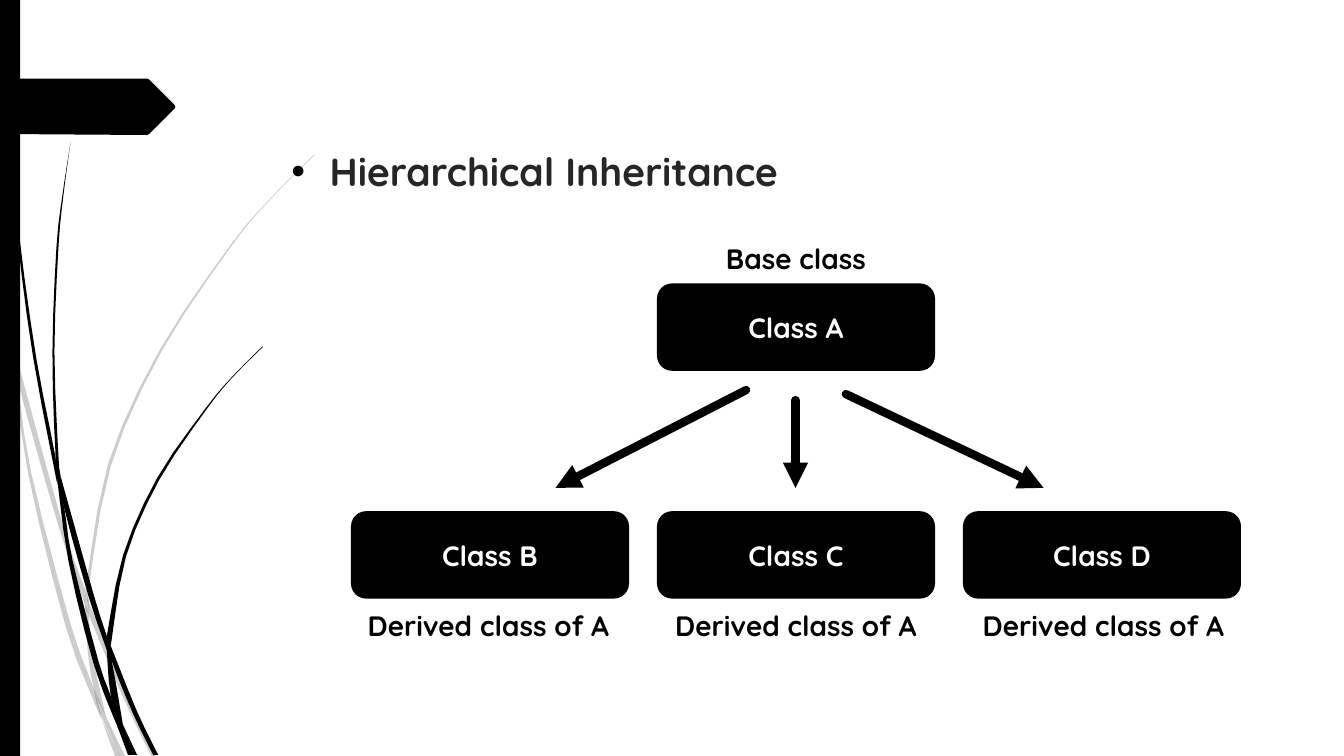
"""Build a slide that shows hierarchical inheritance as a class diagram."""
import dataclasses

import lxml.etree
import pptx
import pptx.dml.color
import pptx.enum.shapes
import pptx.enum.text
import pptx.oxml.ns
import pptx.util

Inches = pptx.util.Inches
Shapes = pptx.enum.shapes.MSO_SHAPE
Align = pptx.enum.text.PP_ALIGN
Anchor = pptx.enum.text.MSO_ANCHOR


@dataclasses.dataclass(frozen=True)
class Theme:
    font: str = "Quicksand"
    black: str = "000000"
    white: str = "FFFFFF"
    heading: str = "262626"
    pale_alpha: str = "20000"
    heading_size: int = 28
    label_size: int = 20
    outline: float = 1.25
    arrow: int = 6


THEME = Theme()
HEADING = "Hierarchical Inheritance"
BASE = ("Class A", "Base class")
DERIVED = [("Class B", "Derived class of A"),
           ("Class C", "Derived class of A"),
           ("Class D", "Derived class of A")]
ARROWS = [((7.4, 3.87), (5.51, 4.84)),
          ((7.89, 3.97), (7.89, 4.84)),
          ((8.39, 3.91), (10.35, 4.84))]
PALE_BLADES = [
    ([(0, 2.99), (0.1, 3.44), (0.11, 3.5)], [(0, 2.82), (0.09, 3.22), (0.11, 3.5)]),
    ([(0.14, 3.45), (0.17, 3.76), (0.58, 5.22), (0.84, 5.99)],
     [(0.14, 3.45), (0.62, 5.2), (0.85, 5.86)]),
    ([(0.88, 6.1), (1.23, 6.94), (1.5, 7.5)],
     [(0.88, 5.96), (0.92, 6.07), (1.27, 6.92), (1.55, 7.5)]),
    ([(1.05, 7.11), (1.19, 7.5)], [(1.05, 7.11), (1.24, 7.5)]),
    ([(0.11, 3.5), (0.28, 4.7), (0.65, 6.21), (0.92, 6.93), (1.01, 7.14)],
     [(0.11, 3.5), (0.17, 3.76), (0.31, 4.69), (0.7, 6.19), (0.93, 6.83), (1.01, 7.14)]),
    ([(0.84, 5.99), (0.87, 6.46), (0.93, 6.83), (1.05, 7.11)],
     [(0.84, 5.99), (0.88, 6.1), (0.91, 6.46), (1.05, 7.11)]),
    ([(3.12, 1.53), (2.68, 1.97), (2.28, 2.44), (1.58, 3.48), (1.07, 4.61), (0.85, 5.84)],
     [(3.12, 1.54), (2.68, 1.98), (2.29, 2.45), (1.6, 3.49), (1.1, 4.62), (0.88, 5.84),
      (0.88, 5.96)]),
    ([(1.01, 7.14), (1.14, 7.5)], [(1.01, 7.14), (1.19, 7.5)]),
    ([(0.85, 5.86), (0.84, 5.99), (0.88, 6.1)], [(0.85, 5.86), (0.88, 5.96), (0.88, 6.1)]),
    ([(0.93, 6.83), (0.99, 7.07), (1.19, 7.5)], [(0.93, 6.83), (1.05, 7.11), (1.19, 7.5)]),
]
DARK_BLADES = [
    ([(0.03, 0), (0.07, 1.1), (0.17, 2.33), (0.33, 3.55), (0.57, 4.81)],
     [(0.04, 0), (0.08, 1.09), (0.19, 2.32), (0.36, 3.55), (0.55, 4.53), (0.57, 4.81)]),
    ([(0.6, 4.72), (0.64, 5.05), (0.88, 5.92), (1.06, 6.45)],
     [(0.6, 4.72), (0.93, 5.9), (1.06, 6.31)]),
    ([(1.1, 6.41), (1.11, 6.56), (1.32, 7.08), (1.52, 7.49)],
     [(1.1, 6.41), (1.36, 7.06), (1.57, 7.49)]),
    ([(0.57, 4.77), (0.68, 5.57), (0.93, 6.59), (1.17, 7.22)],
     [(0.57, 4.77), (0.64, 5.05), (0.72, 5.56), (0.98, 6.57), (1.1, 6.91), (1.17, 7.22)]),
    ([(0.7, 1.41), (0.62, 1.93), (0.56, 2.45), (0.52, 3.49), (0.55, 4.49), (0.6, 4.72)],
     [(0.7, 1.41), (0.63, 1.93), (0.58, 2.45), (0.54, 3.49), (0.58, 4.53), (0.6, 4.72)]),
    ([(1.22, 7.19), (1.33, 7.49)], [(1.22, 7.19), (1.36, 7.49)]),
    ([(0.55, 4.49), (0.57, 4.77), (0.64, 5.05)], [(0.55, 4.49), (0.6, 4.72), (0.64, 5.05)]),
    ([(2.6, 3.44), (2.31, 3.73), (2.04, 4.05), (1.56, 4.74), (1.22, 5.51), (1.06, 6.31)],
     [(2.61, 3.44), (2.31, 3.74), (2.05, 4.06), (1.58, 4.76), (1.25, 5.52), (1.11, 6.33),
      (1.1, 6.41)]),
    ([(1.17, 7.22), (1.27, 7.49)], [(1.17, 7.22), (1.31, 7.49)]),
    ([(1.06, 6.45), (1.1, 6.91), (1.22, 7.19)], [(1.06, 6.45), (1.11, 6.56), (1.22, 7.19)]),
    ([(1.06, 6.31), (1.06, 6.45), (1.11, 6.56)], [(1.06, 6.31), (1.1, 6.41), (1.11, 6.56)]),
    ([(1.1, 6.91), (1.17, 7.22), (1.3, 7.49)], [(1.1, 6.91), (1.22, 7.19), (1.33, 7.49)]),
]
PENNANT = [(0, 0.78), (1.46, 0.78), (1.48, 0.79), (1.73, 1.04), (1.74, 1.06),
           (1.73, 1.08), (1.48, 1.33), (1.46, 1.34), (0, 1.33)]
BOX_SIZE, LABEL_SIZE = (2.74, 0.85), (3.63, 0.44)
BOX_LEFT, BOX_STEP = 3.49, (9.56 - 3.49) / 2
LABEL_LEFT, LABEL_STEP = 3.03, 3.05


def colour(value):
    return pptx.dml.color.RGBColor.from_string(value)


def add_xml(parent, tag, **attributes):
    return lxml.etree.SubElement(parent, pptx.oxml.ns.qn(tag), **attributes)


def paint(shape):
    shape.shadow.inherit = False
    shape.fill.solid()
    shape.fill.fore_color.rgb = colour(THEME.black)
    shape.line.fill.background()


def write(shape, text, size, ink, align=Align.CENTER):
    shape.text_frame.text = text
    shape.text_frame.word_wrap = True
    para = shape.text_frame.paragraphs[0]
    para.alignment = align
    font = para.runs[0].font
    font.name, font.size, font.bold = THEME.font, pptx.util.Pt(size), True
    font.color.rgb = colour(ink)
    return para


def smooth(points, steps=3):
    """Return points along a Catmull-Rom curve through the given points."""
    padded = [points[0], *points, points[-1]]
    return [points[0]] + [
        tuple((2 * q + (r - p) * t + (2 * p - 5 * q + 4 * r - s) * t ** 2
               + (3 * q - p - 3 * r + s) * t ** 3) / 2 for p, q, r, s in zip(*window))
        for window in zip(padded, padded[1:], padded[2:], padded[3:])
        for t in (step / steps for step in range(1, steps + 1))]


def add_outline(page, points):
    corners = [(Inches(x), Inches(y)) for x, y in points]
    builder = page.shapes.build_freeform(*corners[0])
    builder.add_line_segments(corners[1:])
    outline = builder.convert_to_shape()
    paint(outline)
    return outline


def add_blades(page, blades, alpha=None):
    for left, right in blades:
        blade = add_outline(page, smooth(left) + smooth(right)[::-1])
        if alpha:
            fill = blade._element.spPr.find(pptx.oxml.ns.qn("a:solidFill"))
            add_xml(fill[0], "a:alpha", val=alpha)


def add_block(page, kind, left, top, size):
    block = page.shapes.add_shape(kind, *map(Inches, (left, top, *size)))
    paint(block)
    return block


def add_class(page, name, column, top):
    box = add_block(page, Shapes.ROUNDED_RECTANGLE,
                    BOX_LEFT + column * BOX_STEP, top, BOX_SIZE)
    box.line.color.rgb = colour(THEME.black)
    box.line.width = pptx.util.Pt(THEME.outline)
    box.text_frame.vertical_anchor = Anchor.MIDDLE
    write(box, name, THEME.label_size, THEME.white)


def add_label(page, text, column, top):
    place = (LABEL_LEFT + column * LABEL_STEP, top, *LABEL_SIZE)
    label = page.shapes.add_textbox(*map(Inches, place))
    write(label, text, THEME.label_size, THEME.black)


def add_arrow(page, start, end):
    arrow = page.shapes.add_connector(
        pptx.enum.shapes.MSO_CONNECTOR.STRAIGHT, *map(Inches, start + end))
    arrow.line.color.rgb = colour(THEME.black)
    arrow.line.width = pptx.util.Pt(THEME.arrow)
    properties = arrow._element.spPr
    line = properties.find(pptx.oxml.ns.qn("a:ln"))
    line.set("cap", "rnd")
    add_xml(line, "a:tailEnd", type="triangle")
    add_xml(properties, "a:effectLst")


def set_heading(page):
    title = page.shapes.title
    page.shapes._spTree.append(title._element)
    title.left, title.top, title.width, title.height = map(Inches, (2.79, 1.41, 9.75, 5.12))
    title.text_frame.vertical_anchor = Anchor.TOP
    para = write(title, HEADING, THEME.heading_size, THEME.heading, Align.LEFT)
    para.line_spacing = 1.0
    properties = para._p.get_or_add_pPr()
    properties.set("marL", str(Inches(0.38)))
    properties.set("indent", str(-Inches(0.38)))
    add_xml(add_xml(properties, "a:buClr"), "a:srgbClr", val=THEME.black)
    add_xml(properties, "a:buFont", typeface="Arial")
    add_xml(properties, "a:buChar", char="•")


deck = pptx.Presentation()
deck.slide_width, deck.slide_height = Inches(13.33), Inches(7.5)
page = deck.slides.add_slide(deck.slide_layouts[5])
add_blades(page, PALE_BLADES, THEME.pale_alpha)
add_blades(page, DARK_BLADES)
add_block(page, Shapes.RECTANGLE, 0, 0, (0.2, 7.5))
add_outline(page, PENNANT)
set_heading(page)
add_class(page, BASE[0], 1, 2.82)
add_label(page, BASE[1], 1, 2.35)
for column, (name, label) in enumerate(DERIVED):
    add_class(page, name, column, 5.08)
    add_label(page, label, column, 5.99)
for start, end in ARROWS:
    add_arrow(page, start, end)
deck.save("out.pptx")
